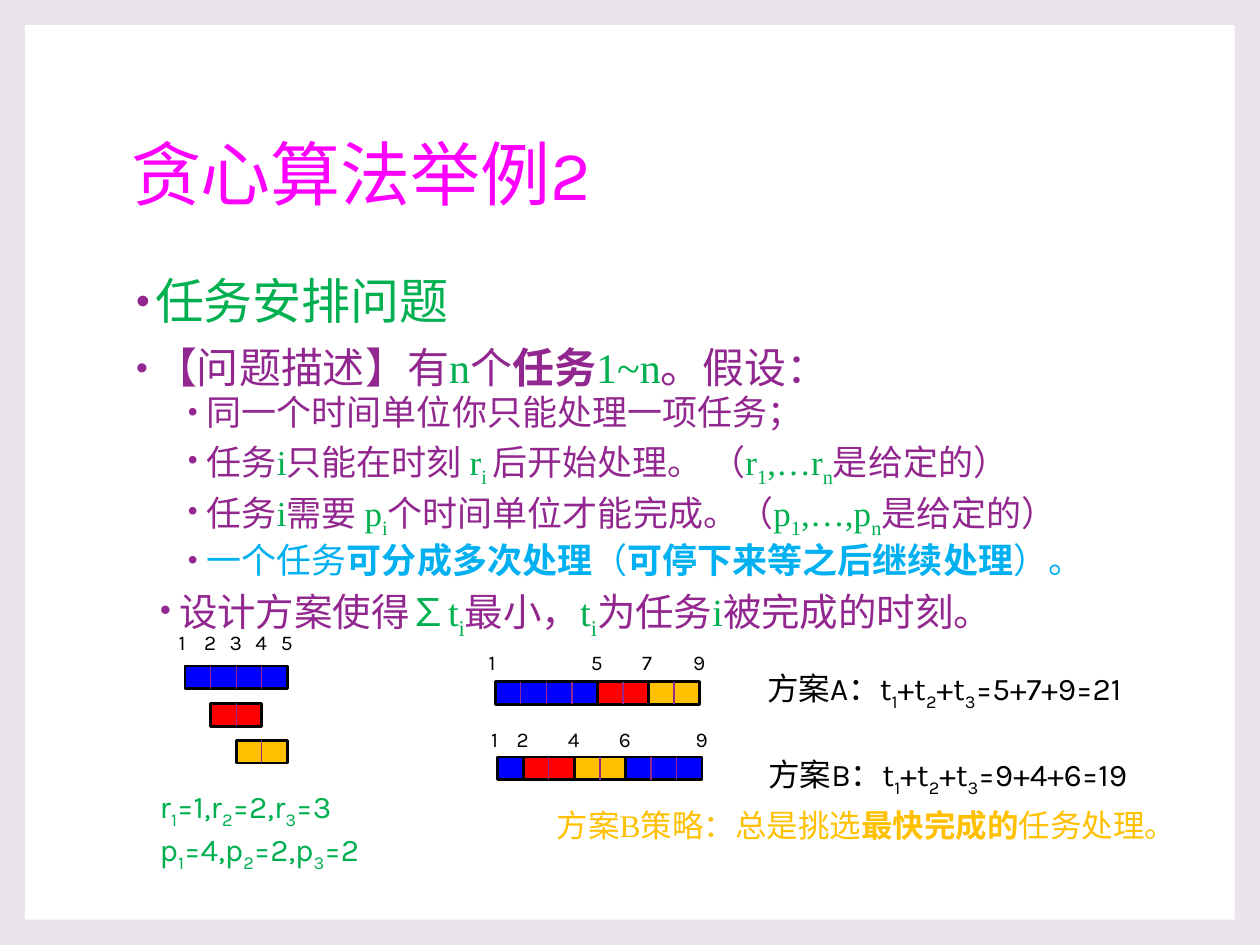
from lxml.etree import SubElement
from pptx import Presentation
from pptx.dml.color import RGBColor
from pptx.enum.shapes import MSO_CONNECTOR as Connector, MSO_SHAPE as Preset
from pptx.enum.text import MSO_ANCHOR as Anchor, MSO_AUTO_SIZE as AutoSize, PP_ALIGN as Align
from pptx.oxml.ns import qn
from pptx.util import Pt

KARLA, TIMES = "Karla", "Times New Roman"
PURPLE, GREEN, SKY = "92278F", "00B050", "00B0F0"
BLUE, RED, GOLD, BLACK, WHITE = "0000FF", "FF0000", "FFC000", "000000", "FFFFFF"
BACKDROP, MAGENTA = "EAE5EB", "FF00FF"

# Braces mark subscripts.
TITLE = "贪心算法举例2"
OUTLINE = [
    (0, 28, [("任务安排问题", GREEN)]),
    (0, 24, [("【问题描述】有", PURPLE), ("n", GREEN), ("个", PURPLE), ("任务", PURPLE, True),
             ("1~n", GREEN), ("。假设：", PURPLE)]),
    (2, 20, [("同一个时间单位你只能处理一项任务；", PURPLE)]),
    (2, 20, [("任务", PURPLE), ("i", GREEN), ("只能在时刻 ", PURPLE), ("r{i }", GREEN),
             ("后开始处理。 （", PURPLE), ("r{1},…r{n}", GREEN), ("是给定的）", PURPLE)]),
    (2, 20, [("任务", PURPLE), ("i", GREEN), ("需要 ", PURPLE), ("p{i}", GREEN),
             ("个时间单位才能完成。（", PURPLE), ("p{1},…,p{n}", GREEN), ("是给定的）", PURPLE)]),
    (2, 20, [("一个任务", SKY), ("可分成多次处理", SKY, True), ("（", SKY),
             ("可停下来等之后继续处理", SKY, True), ("）。", SKY)]),
    (1, 22, [("设计方案使得", PURPLE), ("∑t{i}", GREEN), ("最小，", PURPLE), ("t{i}", GREEN),
             ("为任务", PURPLE), ("i", GREEN), ("被完成的时刻。", PURPLE)]),
]
LEVEL_FORMAT = {0: (13.7, 10, 0), 1: (27.4, 1.5, 3), 2: (43.2, 1.5, 3)}
HANGING = 10.8

SCHEDULES = [
    {"left": 105.8, "label_top": 356.4, "times": [1, 2, 3, 4, 5],
     "bars": [(380.6, 1, 4, BLUE), (402, 2, 2, RED), (423, 3, 2, GOLD)]},
    {"left": 283, "label_top": 367.6, "times": [1, 5, 7, 9],
     "bars": [(389.5, 1, 4, BLUE), (389.5, 5, 2, RED), (389.5, 7, 2, GOLD)]},
    {"left": 284.4, "label_top": 411.4, "times": [1, 2, 4, 6, 9],
     "bars": [(432.5, 1, 1, BLUE), (432.5, 2, 2, RED), (432.5, 4, 2, GOLD),
              (432.5, 6, 3, BLUE)]},
]
UNIT, BAR_HEIGHT, LABEL_SIZE = 14.6, 13, 21.6

NOTES = [
    ((84.2, 446.4, 170, 51), KARLA, [[("r{1}=1,r{2}=2,r{3}=3", GREEN)],
                                     [("p{1}=4,p{2}=2,p{3}=2", GREEN)]]),
    ((431.3, 378.7, 262, 29), KARLA, [[("方案A：t{1}+t{2}+t{3}=5+7+9=21", BLACK)]]),
    ((432, 427.7, 262, 29), KARLA, [[("方案B：t{1}+t{2}+t{3}=9+4+6=19", BLACK)]]),
    ((311, 457.2, 360, 29), TIMES, [[("方案B策略：总是挑选", GOLD), ("最快完成的", GOLD, True),
                                     ("任务处理。", GOLD)]]),
]


def paint(target, color):
    if hasattr(target, "solid"):
        target.solid()
        target.fore_color.rgb = RGBColor.from_string(color)
    else:
        target.color.rgb = RGBColor.from_string(color)


def write(paragraph, segments, size, font):
    for markup, color, *bold in segments:
        for index, piece in enumerate(markup.replace("}", "{").split("{")):
            if not piece:
                continue
            run = paragraph.add_run()
            run.text = piece
            run.font.name, run.font.size, run.font.bold = font, Pt(size), bool(bold)
            paint(run.font, color)
            if index % 2:
                run.font._element.set("baseline", "-25000")


def place(shape, left, top, width, height):
    shape.left, shape.top, shape.width, shape.height = map(Pt, (left, top, width, height))


def paragraphs(frame, count):
    return [frame.paragraphs[0]] + [frame.add_paragraph() for _ in range(count - 1)]


def add_bullet(paragraph, indent):
    properties = paragraph._p.get_or_add_pPr()
    properties.set("marL", str(Pt(indent)))
    properties.set("indent", str(Pt(-HANGING)))
    SubElement(SubElement(properties, qn("a:buClr")), qn("a:srgbClr"), val=PURPLE)
    SubElement(properties, qn("a:buSzPct"), val="80000")
    SubElement(properties, qn("a:buChar"), char="•")


def add_text(shapes, box, lines, size, font, wrap=True):
    frame = shapes.add_textbox(*map(Pt, box)).text_frame
    frame.word_wrap = wrap
    frame.auto_size = AutoSize.SHAPE_TO_FIT_TEXT
    for paragraph, segments in zip(paragraphs(frame, len(lines)), lines):
        write(paragraph, segments, size, font)


def add_rectangle(shapes, box, color):
    rectangle = shapes.add_shape(Preset.RECTANGLE, *map(Pt, box))
    rectangle.shadow.inherit = False
    paint(rectangle.fill, color)
    return rectangle


def add_bar(shapes, left, top, length, color):
    bar = add_rectangle(shapes, (left, top, length * UNIT, BAR_HEIGHT), color)
    paint(bar.line, BLACK)
    bar.line.width = Pt(1.5)
    for step in range(1, length):
        x = left + step * UNIT
        divider = shapes.add_connector(Connector.STRAIGHT, Pt(x), Pt(top), Pt(x), Pt(top + BAR_HEIGHT))
        if 2 * step == length:
            divider.begin_connect(bar, 0)
            divider.end_connect(bar, 2)
        paint(divider.line, PURPLE)
        divider.line.width = Pt(0.79)
        SubElement(divider.element.spPr, qn("a:effectLst"))


def add_schedule(slide, schedule):
    shapes = slide.shapes.add_group_shape().shapes

    def time_x(time):
        return schedule["left"] + (time - 1) * UNIT

    for top, start, length, color in schedule["bars"]:
        add_bar(shapes, time_x(start), top, length, color)
    for time in schedule["times"]:
        box = (time_x(time) - LABEL_SIZE / 2, schedule["label_top"], LABEL_SIZE, LABEL_SIZE)
        add_text(shapes, box, [[(str(time), BLACK)]], 12, KARLA, wrap=False)


def main():
    deck = Presentation()
    deck.slide_width, deck.slide_height = Pt(720), Pt(540)
    slide = deck.slides.add_slide(deck.slide_layouts[1])
    paint(slide.background.fill, BACKDROP)

    title, body = slide.placeholders
    panel = add_rectangle(slide.shapes, (14.4, 14.4, 691.2, 511.2), WHITE)
    panel.line.fill.background()
    title.element.addprevious(panel.element)

    place(title, 67.7, 48.2, 583.2, 106.6)
    title.text_frame.vertical_anchor = Anchor.MIDDLE
    heading = title.text_frame.paragraphs[0]
    heading.alignment, heading.line_spacing = Align.LEFT, 0.9
    write(heading, [(TITLE, MAGENTA)], 40, KARLA)

    place(body, 67.7, 154.8, 590.4, 208)
    body.text_frame.auto_size = AutoSize.NONE
    items = paragraphs(body.text_frame, len(OUTLINE))
    for index, (item, (level, size, segments)) in enumerate(zip(items, OUTLINE)):
        indent, before, after = LEVEL_FORMAT[level]
        item.level, item.line_spacing = level, 0.9
        item.space_before, item.space_after = Pt(before if index else 0), Pt(after)
        add_bullet(item, indent)
        write(item, segments, size, TIMES)

    for schedule in SCHEDULES:
        add_schedule(slide, schedule)
    for box, font, lines in NOTES:
        add_text(slide.shapes, box, lines, 18, font)
    deck.save("out.pptx")


if __name__ == "__main__":
    main()
